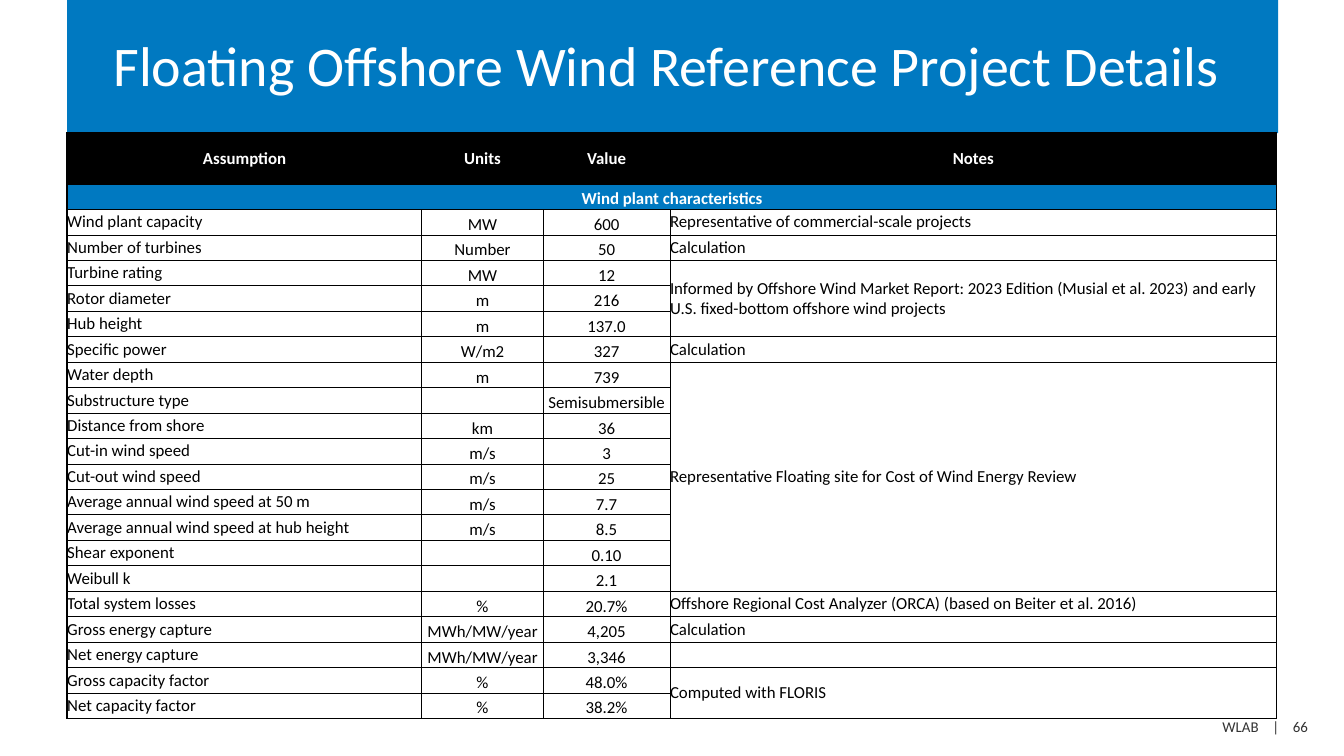
from typing import NamedTuple

from lxml.etree import SubElement
from pptx import Presentation
from pptx.dml.color import RGBColor
from pptx.enum.shapes import MSO_SHAPE
from pptx.enum.text import MSO_ANCHOR, MSO_AUTO_SIZE, PP_ALIGN
from pptx.oxml.ns import qn
from pptx.util import Pt

BLUE, BLACK, WHITE, GREY = "0079C1", "000000", "FFFFFF", "333333"
WIDTHS = (190, 65, 68, 325)
HEADS = ("Assumption", "Units", "Value", "Notes")
HEAD_H, ROW_H = 27.3, 13.65
THIN, THICK = 0.5, 1


class Row(NamedTuple):
    """One assumption; its note covers `span` rows."""
    name: str
    unit: str
    value: str
    note: str = ""
    span: int = 1


class Edges(NamedTuple):
    """Border widths of a cell in points."""
    left: float = THIN
    right: float = THIN
    top: float = THIN
    bottom: float = THIN


ROWS = (
    Row("Wind plant capacity", "MW", "600", "Representative of commercial-scale projects"),
    Row("Number of turbines", "Number", "50", "Calculation"),
    Row("Turbine rating", "MW", "12",
        "Informed by Offshore Wind Market Report: 2023 Edition (Musial et al. 2023) "
        "and early U.S. fixed-bottom offshore wind projects", 3),
    Row("Rotor diameter", "m", "216"),
    Row("Hub height", "m", "137.0"),
    Row("Specific power", "W/m2", "327", "Calculation"),
    Row("Water depth", "m", "739",
        "Representative Floating site for Cost of Wind Energy Review", 9),
    Row("Substructure type", "", "Semisubmersible"),
    Row("Distance from shore", "km", "36"),
    Row("Cut-in wind speed", "m/s", "3"),
    Row("Cut-out wind speed", "m/s", "25"),
    Row("Average annual wind speed at 50 m", "m/s", "7.7"),
    Row("Average annual wind speed at hub height", "m/s", "8.5"),
    Row("Shear exponent", "", "0.10"),
    Row("Weibull k", "", "2.1"),
    Row("Total system losses", "%", "20.7%",
        "Offshore Regional Cost Analyzer (ORCA) (based on Beiter et al. 2016)"),
    Row("Gross energy capture", "MWh/MW/year", "4,205", "Calculation"),
    Row("Net energy capture", "MWh/MW/year", "3,346"),
    Row("Gross capacity factor", "%", "48.0%", "Computed with FLORIS", 2),
    Row("Net capacity factor", "%", "38.2%"),
)


def paint(target, color: str) -> None:
    """Give a fill one solid colour."""
    target.solid()
    target.fore_color.rgb = RGBColor.from_string(color)


def add_run(para, text: str, size: float, color: str, bold: bool = False):
    """Append one styled run."""
    run = para.add_run()
    run.text = text
    font = run.font
    font.name, font.size, font.bold = "Calibri", Pt(size), bold
    paint(font.fill, color)
    return run


def set_edges(cell, edges: Edges) -> None:
    """Draw the four borders of a cell."""
    props = cell._tc.get_or_add_tcPr()
    for tag, width in zip(("a:lnL", "a:lnR", "a:lnT", "a:lnB"), edges):
        line = SubElement(props, qn(tag), w=str(Pt(width)))
        fill = SubElement(line, qn("a:solidFill"))
        SubElement(fill, qn("a:srgbClr"), val=BLACK)


def fill_cell(cell, text: str, edges: Edges, back: str = "",
              center: bool = False, low: bool = False) -> None:
    """Set the text, borders and fill of a cell."""
    cell.margin_left = cell.margin_right = cell.margin_top = cell.margin_bottom = 0
    cell.vertical_anchor = MSO_ANCHOR.BOTTOM if low else MSO_ANCHOR.MIDDLE
    set_edges(cell, edges)
    para = cell.text_frame.paragraphs[0]
    para.alignment = PP_ALIGN.CENTER if center else PP_ALIGN.LEFT
    if text:
        add_run(para, text, 9, WHITE if back else BLACK, bool(back))
    else:
        SubElement(para._p, qn("a:endParaRPr"), sz="900")
    if back:
        paint(cell.fill, back)
    else:
        cell.fill.background()


def add_title(slide) -> None:
    """Draw the title band."""
    band = slide.shapes.add_shape(MSO_SHAPE.RECTANGLE, Pt(36), 0, Pt(648.7), Pt(71.3))
    band.shadow.inherit = False
    paint(band.fill, BLUE)
    band.line.fill.background()
    frame = band.text_frame
    frame.word_wrap = True
    frame.vertical_anchor = MSO_ANCHOR.MIDDLE
    frame.margin_top, frame.margin_bottom = Pt(9.4), Pt(3.6)
    para = frame.paragraphs[0]
    para.alignment, para.line_spacing = PP_ALIGN.CENTER, Pt(28)
    add_run(para, "Floating Offshore Wind Reference Project Details ", 30, WHITE)


def add_grid(slide) -> None:
    """Draw the table of assumptions."""
    count, last = len(ROWS) + 2, len(WIDTHS) - 1
    height = HEAD_H + ROW_H * (count - 1)
    table = slide.shapes.add_table(
        count, len(WIDTHS), Pt(36), Pt(71.3), Pt(sum(WIDTHS)), Pt(height)).table
    table.first_row = table.horz_banding = False
    for col, width in zip(table.columns, WIDTHS):
        col.width = Pt(width)
    for num, row in enumerate(table.rows):
        row.height = Pt(ROW_H if num else HEAD_H)

    for col, head in enumerate(HEADS):
        left = THIN if col else THICK
        right = THICK if col == last else THIN
        fill_cell(table.cell(0, col), head, Edges(left, right, THICK, THICK), BLACK, True)
        text = "" if col else "Wind plant characteristics"
        fill_cell(table.cell(1, col), text, Edges(THICK, THICK, THICK), BLUE, True, True)
    table.cell(1, 0).merge(table.cell(1, last))

    for num, row in enumerate(ROWS, 2):
        fill_cell(table.cell(num, 0), row.name, Edges(left=THICK))
        for col, text in enumerate((row.unit, row.value), 1):
            fill_cell(table.cell(num, col), text, Edges(), center=True, low=True)
        right = THIN if 4 <= num <= 6 else THICK
        bottom = THICK if num >= count - 2 else THIN
        fill_cell(table.cell(num, last), row.note, Edges(right=right, bottom=bottom))
    for num, row in enumerate(ROWS, 2):
        if row.span > 1:
            table.cell(num, last).merge(table.cell(num + row.span - 1, last))


def add_foot(slide) -> None:
    """Write the footer with widely spaced parts."""
    box = slide.shapes.add_textbox(Pt(528.5), Pt(380.9), Pt(179.3), Pt(17))
    frame = box.text_frame
    frame.word_wrap = True
    frame.auto_size = MSO_AUTO_SIZE.SHAPE_TO_FIT_TEXT
    para = frame.paragraphs[0]
    para.alignment = PP_ALIGN.RIGHT
    for part in ("WLAB", " ", "|", " ", "66"):
        run = add_run(para, part, 8, GREY)
        if part == " ":
            run.font._element.set("spc", "540")


def main() -> None:
    """Build and save the slide."""
    deck = Presentation()
    deck.slide_width, deck.slide_height = Pt(720), Pt(405)
    slide = deck.slides.add_slide(deck.slide_layouts[6])
    add_foot(slide)
    add_title(slide)
    add_grid(slide)
    deck.save("out.pptx")


if __name__ == "__main__":
    main()
